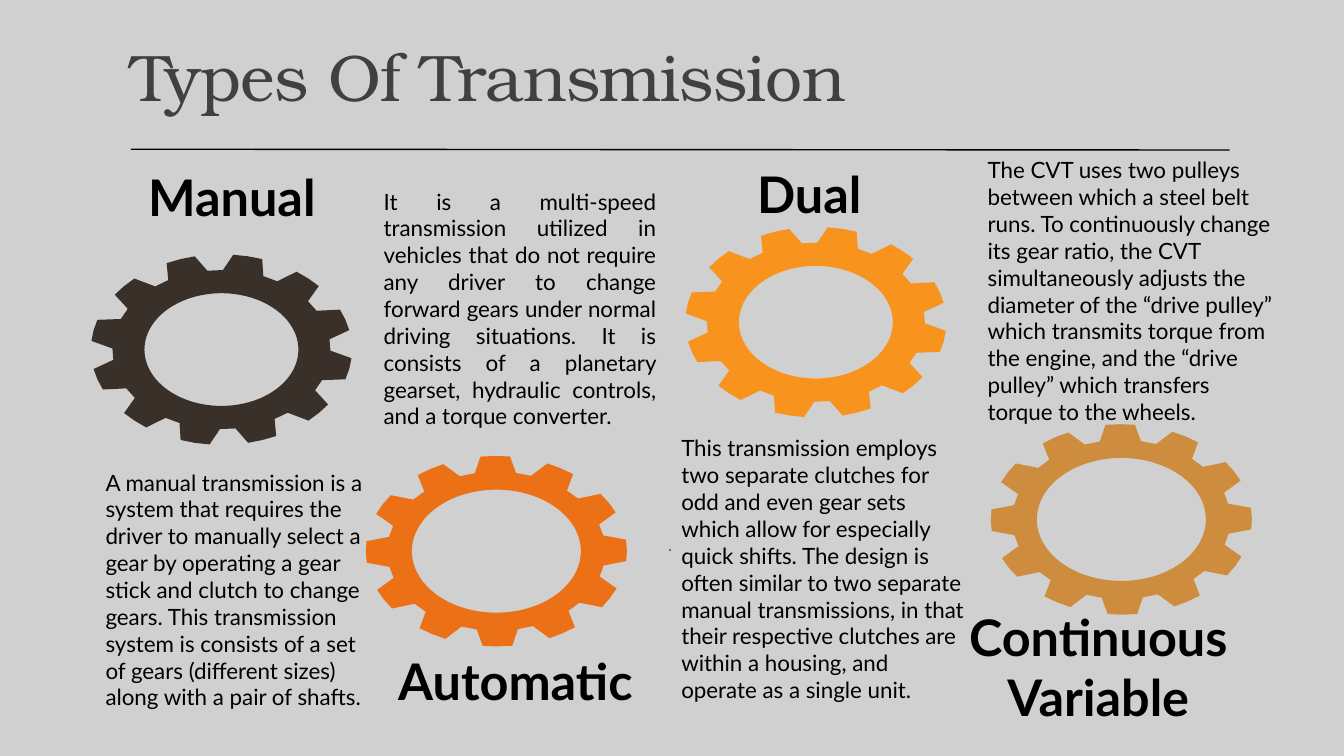
from dataclasses import dataclass
from math import cos, radians, sin

from lxml import etree
from pptx import Presentation, util as u
from pptx.dml import color
from pptx.enum import shapes, text
from pptx.oxml import ns


@dataclass(frozen=True)
class Theme:
    backdrop: str = "D0D0D0"
    title: str = "404040"
    ink: str = "000000"
    dot: str = "595959"
    title_font: str = "TeX Gyre Bonum"
    body_font: str = "Lato"
    title_size: int = 47
    heading_size: int = 36
    body_size: int = 16
    dot_size: int = 12


THEME = Theme()
CENTER, LEFT, JUSTIFY = text.PP_ALIGN.CENTER, text.PP_ALIGN.LEFT, text.PP_ALIGN.JUSTIFY
TOP, BOTTOM = text.MSO_ANCHOR.TOP, text.MSO_ANCHOR.BOTTOM


@dataclass(frozen=True)
class TextStyle:
    size: int
    font: str = THEME.body_font
    color: str = THEME.ink
    bold: bool = False
    anchor: text.MSO_ANCHOR = TOP
    side_inset: float = 0.25
    fit: text.MSO_AUTO_SIZE = text.MSO_AUTO_SIZE.SHAPE_TO_FIT_TEXT
    line_spacing: float = 1.0
    tracking: float = 0


@dataclass(frozen=True)
class Label:
    words: str
    left: float
    top: float
    width: float
    height: float
    style: TextStyle
    align: text.PP_ALIGN = LEFT


@dataclass(frozen=True)
class Gear:
    """An oval gear: sizes in centimetres, angles in degrees."""
    center_x: float
    center_y: float
    color: str
    hole_x: float
    hole_y: float
    phase: float
    radius_x: float = 3.29
    radius_y: float = 2.4
    teeth: int = 12
    tip_half: float = 6.5
    root_half: float = 10.9
    root_ratio: float = 0.835


TITLE = TextStyle(THEME.title_size, THEME.title_font, THEME.title, anchor=BOTTOM,
                  fit=text.MSO_AUTO_SIZE.NONE, line_spacing=0.9, tracking=-0.5)
HEADING = TextStyle(THEME.heading_size, bold=True, anchor=BOTTOM, side_inset=0)
BODY = TextStyle(THEME.body_size)
DOT = TextStyle(THEME.dot_size, color=THEME.dot, side_inset=0)

GEARS = [
    Gear(5.58, 8.81, "39302A", 1.94, 1.42, 11.7),
    Gear(12.51, 13.89, "EC7016", 2.13, 1.55, -0.5),
    Gear(20.56, 8.12, "F8931D", 1.94, 1.42, 11.7),
    Gear(28.26, 13.09, "CE8D3E", 2.13, 1.55, -0.5),
]

LABELS = [
    Label("Types Of Transmission", 3.05, -0.99, 27.94, 4.04, TITLE),
    Label("Manual", 3.1, 4.04, 5.49, 1.8, HEADING, CENTER),
    Label("Automatic", 9.75, 16.23, 6.48, 1.8, HEADING, CENTER),
    Label("Dual", 17.65, 3.96, 5.49, 1.8, HEADING, CENTER),
    Label(".", 16.84, 13.34, 5.49, 0.76, DOT, JUSTIFY),
    Label("Continuous Variable", 23.77, 15.06, 7.82, 3.38, HEADING, CENTER),
    Label("A manual transmission is a system that requires the driver to manually "
          "select a gear by operating a gear stick and clutch to change gears. This "
          "transmission system is consists of a set of gears (different sizes) along "
          "with a pair of shafts.", 2.41, 11.68, 7.37, 6.4, BODY),
    Label("The CVT uses two pulleys between which a steel belt runs. To continuously "
          "change its gear ratio, the CVT simultaneously adjusts the diameter of the "
          "“drive pulley” which transmits torque from the engine, and the “drive "
          "pulley” which transfers torque to the wheels.",
          24.64, 3.81, 7.72, 7.09, BODY),
    Label("It is a multi-speed transmission utilized in vehicles that do not require "
          "any driver to change forward gears under normal driving situations. It is "
          "consists of a planetary gearset, hydraulic controls, and a torque "
          "converter.", 9.42, 4.6, 7.37, 6.4, BODY, JUSTIFY),
    Label("This transmission employs two separate clutches for odd and even gear sets "
          "which allow for especially quick shifts. The design is often similar to two "
          "separate manual transmissions, in that their respective clutches are within "
          "a housing, and operate as a single unit.", 16.92, 10.82, 7.72, 7.09, BODY),
]


def apply(target: object, values: dict[str, object]) -> None:
    for name, value in values.items():
        setattr(target, name, value)


def add_label(page, label: Label) -> None:
    style = label.style
    box = page.shapes.add_textbox(*map(u.Cm, (label.left, label.top, label.width, label.height)))
    inset = u.Cm(style.side_inset)
    apply(box.text_frame, {
        "word_wrap": True, "auto_size": style.fit, "vertical_anchor": style.anchor,
        "margin_left": inset, "margin_right": inset,
        "margin_top": u.Cm(0.13), "margin_bottom": u.Cm(0.13)})
    para = box.text_frame.paragraphs[0]
    apply(para, {"alignment": label.align, "line_spacing": style.line_spacing})
    span = para.add_run()
    span.text = label.words
    apply(span.font, {"name": style.font, "size": u.Pt(style.size), "bold": style.bold})
    span.font.color.rgb = color.RGBColor.from_string(style.color)
    if style.tracking:
        span._r.get_or_add_rPr().set("spc", str(round(style.tracking * 100)))


def add_gear(page, gear: Gear) -> None:
    def point(angle: float, radius_x: float, radius_y: float) -> tuple[int, int]:
        turn = radians(angle)
        return (u.Cm(gear.center_x + radius_x * cos(turn)),
                u.Cm(gear.center_y + radius_y * sin(turn)))

    # Each tooth rises from the root, follows the rim and falls back
    pitch = 360 / gear.teeth
    profile = [(-gear.root_half, gear.root_ratio), (-gear.tip_half, 1), (0, 1),
               (gear.tip_half, 1), (gear.root_half, gear.root_ratio)]
    rim = [point(gear.phase + tooth * pitch + offset,
                 gear.radius_x * ratio, gear.radius_y * ratio)
           for tooth in range(gear.teeth) for offset, ratio in profile]
    hole = [point(-angle, gear.hole_x, gear.hole_y) for angle in range(0, 360, 4)]

    outline = page.shapes.build_freeform(*rim[0])
    outline.add_line_segments(rim[1:], close=True)
    outline.move_to(*hole[0])
    outline.add_line_segments(hole[1:], close=True)
    shape = outline.convert_to_shape()
    shape.shadow.inherit = False
    shape.fill.solid()
    shape.fill.fore_color.rgb = color.RGBColor.from_string(gear.color)
    shape.line.fill.background()


def add_title_rule(page) -> None:
    rule = page.shapes.add_connector(shapes.MSO_CONNECTOR.STRAIGHT,
                                     *map(u.Cm, (3.3, 3.76, 30.99, 3.78)))
    rule.line.width = u.Pt(1)
    rule.line.color.rgb = color.RGBColor.from_string(THEME.ink)
    etree.SubElement(rule._element.spPr, ns.qn("a:effectLst"))


def main() -> None:
    deck = Presentation()
    apply(deck, {"slide_width": u.Cm(33.87), "slide_height": u.Cm(19.05)})
    page = deck.slides.add_slide(deck.slide_layouts[6])
    page.background.fill.solid()
    page.background.fill.fore_color.rgb = color.RGBColor.from_string(THEME.backdrop)

    # Gears, then the rule under the title, then all text
    for gear in GEARS:
        add_gear(page, gear)
    add_title_rule(page)
    for label in LABELS:
        add_label(page, label)
    deck.save("out.pptx")


if __name__ == "__main__":
    main()
